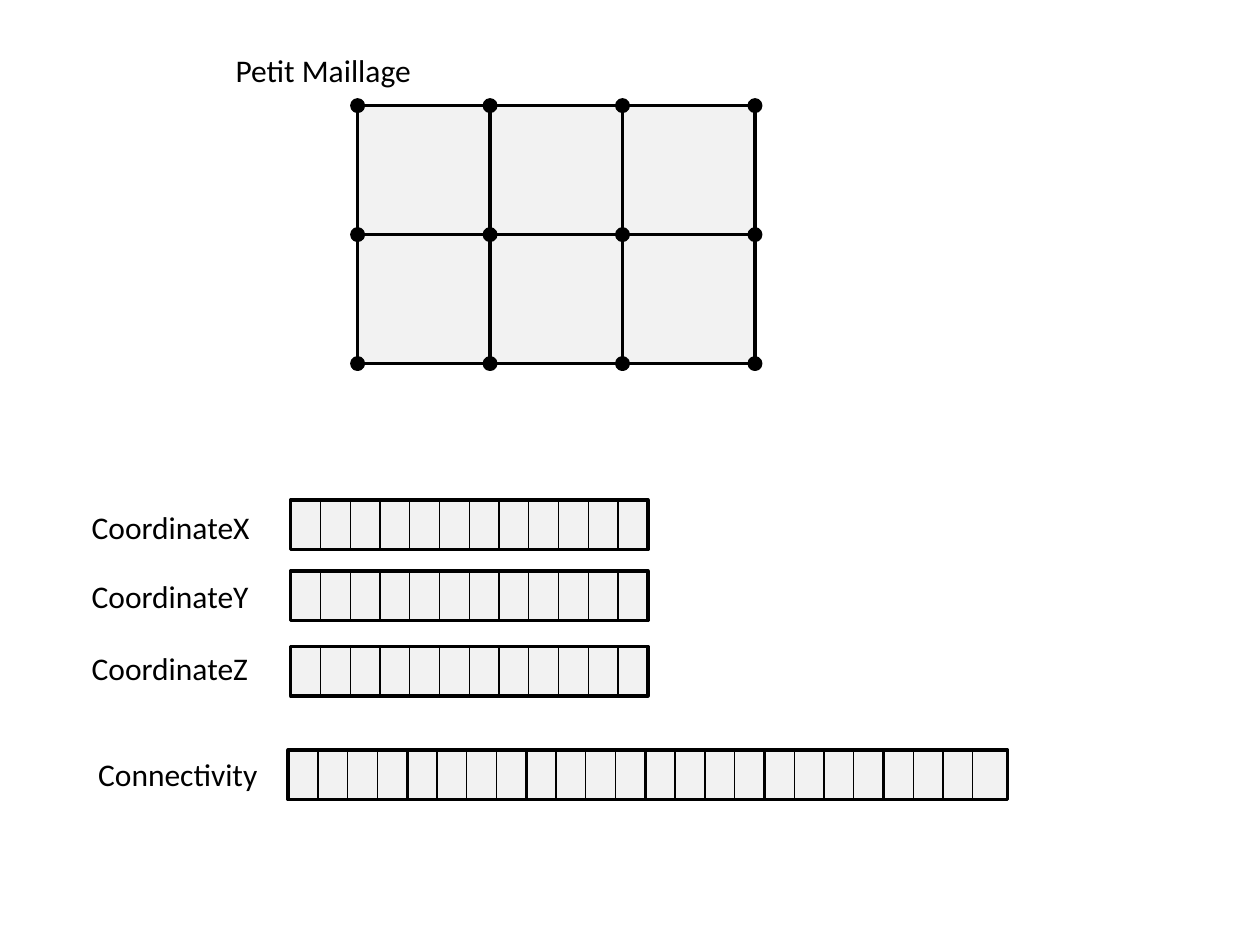
"""Draw a small mesh with its coordinate and connectivity arrays."""
from dataclasses import dataclass
from itertools import product

from lxml.etree import SubElement
from pptx import Presentation
from pptx.dml.color import RGBColor
from pptx.enum.shapes import MSO_CONNECTOR as Link, MSO_SHAPE as Shape
from pptx.enum.text import MSO_AUTO_SIZE as AutoSize
from pptx.oxml.ns import qn
from pptx.util import Cm, Pt

COLORS = {"ink": "000000", "cell": "F2F2F2"}


def color(name):
    return RGBColor.from_string(COLORS[name])


def write(frame, text, font="Calibri", size=18, ink="ink"):
    span = frame.paragraphs[0].add_run()
    span.text = text
    span.font.name = font
    span.font.size = Pt(size)
    span.font.color.rgb = color(ink)


@dataclass
class Sketch:
    page: object
    outline: float = 2
    divider: float = 0.75
    strong_divider: float = 1.5

    def group(self):
        return self.page.shapes.add_group_shape().shapes

    def shape(self, parent, kind, left, top, width, height, fill):
        item = parent.add_shape(kind, Cm(left), Cm(top), Cm(width), Cm(height))
        item.shadow.inherit = False
        item.fill.solid()
        item.fill.fore_color.rgb = color(fill)
        item.line.color.rgb = color("ink")
        item.line.width = Pt(self.outline)

    def rule(self, parent, x, top, height, weight):
        line = parent.add_connector(Link.STRAIGHT, Cm(x), Cm(top), Cm(x), Cm(top + height))
        line.line.color.rgb = color("ink")
        line.line.width = Pt(weight)
        SubElement(line._element.spPr, qn("a:effectLst"))

    def label(self, text, left, top, width, height=1.02):
        box = self.page.shapes.add_textbox(Cm(left), Cm(top), Cm(width), Cm(height))
        box.text_frame.word_wrap = False
        box.text_frame.auto_size = AutoSize.SHAPE_TO_FIT_TEXT
        write(box.text_frame, text)

    def array(self, left, top, width, count, strong_every=None, step=0.6, height=1):
        parent = self.group()
        self.shape(parent, Shape.RECTANGLE, left, top, width, height, "cell")
        for index in range(1, count):
            strong = strong_every and index % strong_every == 0
            weight = self.strong_divider if strong else self.divider
            self.rule(parent, left + index * step, top, height, weight)

    def mesh(self, left, top, columns, rows, width, height):
        parent = self.group()
        for row, column in product(range(rows), range(columns)):
            self.shape(parent, Shape.RECTANGLE, left + column * width,
                       top + row * height, width, height, "cell")

    def nodes(self, left, top, columns, rows, width, height, size=0.23):
        for row, column in product(range(rows + 1), range(columns + 1)):
            self.shape(self.page.shapes, Shape.OVAL, left + column * width - size / 2,
                       top + row * height - size / 2, size, size, "ink")


deck = Presentation()
deck.slide_width, deck.slide_height = Cm(25.4), Cm(19.05)
sketch = Sketch(deck.slides.add_slide(deck.slide_layouts[6]))

grid = dict(left=7.21, top=2.13, columns=3, rows=2, width=2.67, height=2.6)
sketch.mesh(**grid)

for axis, array_top, label_top in (("X", 10.08, 10.11), ("Y", 11.51, 11.51), ("Z", 13.03, 12.95)):
    sketch.array(5.86, array_top, 7.2, count=12)
    sketch.label("Coordinate" + axis, 1.6, label_top, 3.73)

sketch.array(5.81, 15.12, 14.5, count=24, strong_every=4)
sketch.label("Connectivity", 1.73, 15.09, 3.76)
sketch.label("Petit Maillage", 4.5, 0.91, 4.09)
sketch.nodes(**grid)

deck.save("out.pptx")
